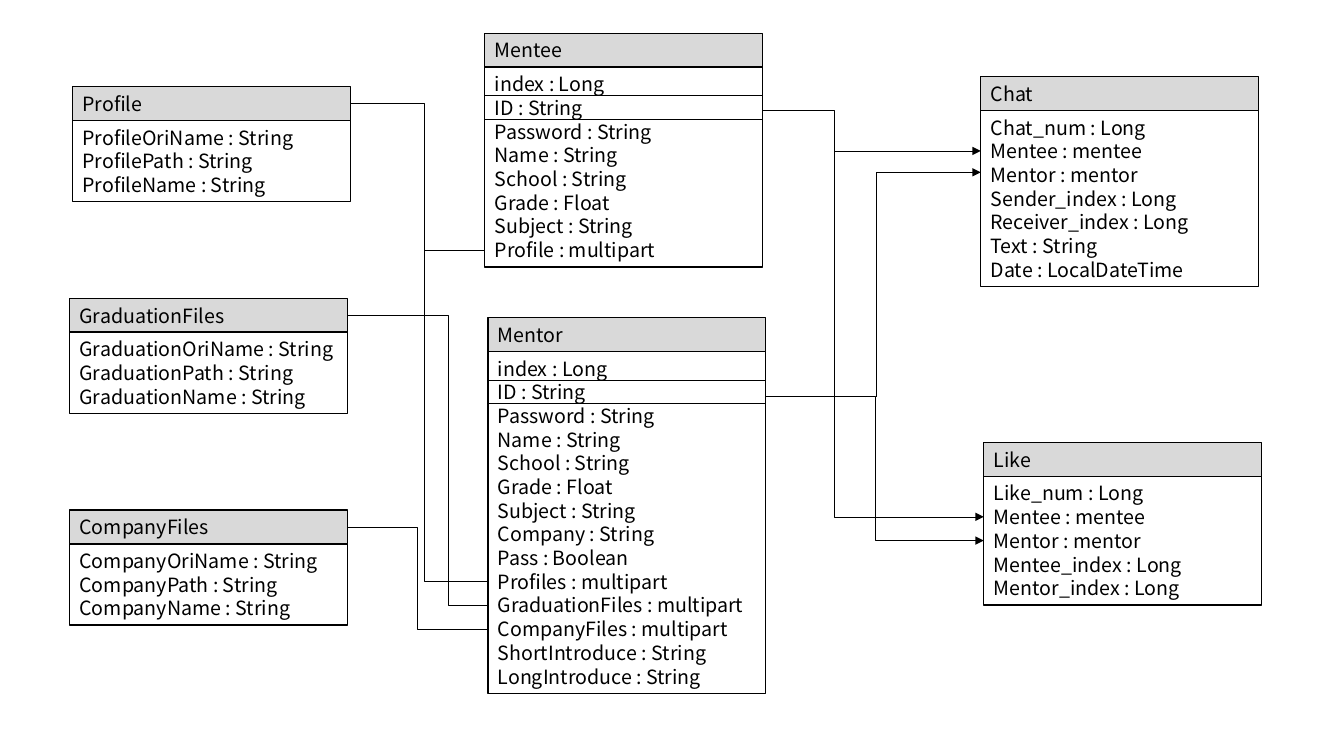
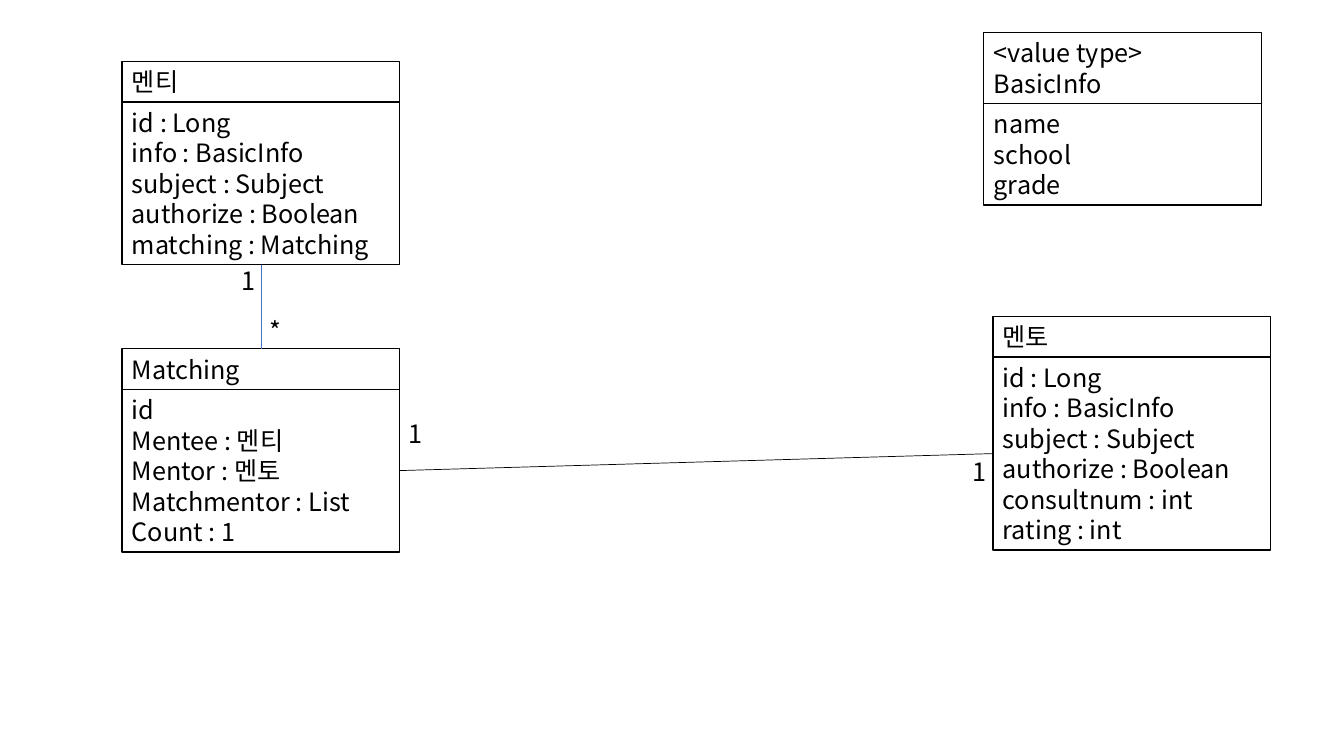
from dataclasses import dataclass

from lxml import etree
from pptx import Presentation
from pptx.dml.color import RGBColor
from pptx.enum.shapes import MSO_CONNECTOR, MSO_SHAPE
from pptx.enum.text import MSO_ANCHOR, PP_ALIGN
from pptx.oxml.ns import qn
from pptx.util import Inches, Pt

RECT = MSO_SHAPE.RECTANGLE
STRAIGHT, ELBOW = MSO_CONNECTOR.STRAIGHT, MSO_CONNECTOR.ELBOW
LEFT, TOP = PP_ALIGN.LEFT, MSO_ANCHOR.TOP

W, H = Inches(13.333), Inches(7.5)
COL, ROW = W / 40, H / 30
FONT = "Noto Sans CJK KR"
BLACK, WHITE, GREY, BLUE = "000000", "FFFFFF", "D9D9D9", "4472C4"
LEADING = 1.21
PAD_X, PAD_Y = Inches(0.1), Inches(0.05)
BOX_W = 8.27 * COL


@dataclass
class ClassBox:
    col: float
    row: float
    title: str
    fields: str
    size: int = 14
    fill: str = GREY

    @property
    def left(self):
        return self.col * COL

    @property
    def right(self):
        return self.left + BOX_W

    @property
    def center(self):
        return self.left + BOX_W / 2

    @property
    def top(self):
        return self.row * ROW

    @property
    def pitch(self):
        return Pt(self.size * LEADING)

    def height(self, text):
        return 2 * PAD_Y + len(text.split("\n")) * self.pitch

    @property
    def body_top(self):
        return self.top + self.height(self.title)

    @property
    def bottom(self):
        return self.body_top + self.height(self.fields)

    @property
    def title_y(self):
        return (self.top + self.body_top) / 2

    @property
    def body_y(self):
        return (self.body_top + self.bottom) / 2

    def line_y(self, number):
        return self.body_top + PAD_Y + number * self.pitch

    def field_y(self, number):
        return self.line_y(number - 0.5)


def color(value):
    return RGBColor.from_string(value)


def write(sp, text, size):
    tf = sp.text_frame
    tf.text = text
    tf.word_wrap = True
    tf.vertical_anchor = TOP
    tf.margin_left = tf.margin_right = PAD_X
    tf.margin_top = tf.margin_bottom = PAD_Y
    for p in tf.paragraphs:
        p.alignment = LEFT
        p.line_spacing = Pt(size * LEADING)
        for r in p.runs:
            r.font.size = Pt(size)
            r.font.name = FONT
            r.font.color.rgb = color(BLACK)
            etree.SubElement(r.font._element, qn("a:ea"), typeface=FONT)


def add_panel(s, box, top, text, fill):
    sp = s.shapes.add_shape(RECT, int(box.left), int(top), int(BOX_W), int(box.height(text)))
    sp.shadow.inherit = False
    sp.fill.solid()
    sp.fill.fore_color.rgb = color(fill)
    sp.line.color.rgb = color(BLACK)
    sp.line.width = Pt(1)
    write(sp, text, box.size)


def add_class(s, box):
    add_panel(s, box, box.body_top, box.fields, WHITE)
    add_panel(s, box, box.top, box.title, box.fill)


def add_line(s, start, end, kind=STRAIGHT, line=BLACK):
    cx = s.shapes.add_connector(kind, *(int(v) for v in (*start, *end)))
    cx.line.color.rgb = color(line)
    cx.line.width = Pt(0.5)
    etree.SubElement(cx._element.spPr, qn("a:effectLst"))
    return cx


def add_wire(s, start, end, lane, arrow=False):
    cx = add_line(s, start, end, ELBOW)
    bend = round((lane - start[0]) / (end[0] - start[0]) * 100000)
    guides = cx._element.spPr.find(qn("a:prstGeom")).get_or_add_avLst()
    etree.SubElement(guides, qn("a:gd"), name="adj1", fmla=f"val {bend}")
    if arrow:
        etree.SubElement(cx.line._get_or_add_ln(), qn("a:tailEnd"), type="triangle")


def add_label(s, col, row, text):
    sp = s.shapes.add_textbox(int(col * COL), int(row * ROW), int(1.2 * COL), int(1.6 * ROW))
    write(sp, text, 18)


def build_entities(s):
    profile, graduation, company = [
        ClassBox(col, 3.44 + 8.4 * i, title,
                 "\n".join(f"{stem}{part} : String" for part in ("OriName", "Path", "Name")))
        for i, (col, title, stem) in enumerate([
            (2.16, "Profile", "Profile"),
            (2.07, "GraduationFiles", "Graduation"),
            (2.07, "CompanyFiles", "Company"),
        ])
    ]
    person = ("index : Long\nID : String\nPassword : String\nName : String\n"
              "School : String\nGrade : Float\nSubject : String\n")
    mentee = ClassBox(14.43, 1.32, "Mentee", person + "Profile : multipart")
    mentor = ClassBox(14.52, 12.6, "Mentor", person + (
        "Company : String\nPass : Boolean\nProfiles : multipart\n"
        "GraduationFiles : multipart\nCompanyFiles : multipart\n"
        "ShortIntroduce : String\nLongIntroduce : String"))
    chat = ClassBox(29.19, 3.04, "Chat", (
        "Chat_num : Long\nMentee : mentee\nMentor : mentor\nSender_index : Long\n"
        "Receiver_index : Long\nText : String\nDate : LocalDateTime"))
    like = ClassBox(29.28, 17.56, "Like", (
        "Like_num : Long\nMentee : mentee\nMentor : mentor\n"
        "Mentee_index : Long\nMentor_index : Long"))

    for box in (profile, graduation, company, mentee, mentor, chat, like):
        add_class(s, box)
    for box in (mentee, mentor):
        for number in (1, 2):
            y = box.line_y(number)
            add_line(s, (box.left, y), (box.right, y))

    profile_lane = 12.62 * COL
    for source, target, field, lane in (
        (profile, mentee, 8, profile_lane),
        (graduation, mentor, 11, 13.34 * COL),
        (company, mentor, 12, 12.43 * COL),
    ):
        add_wire(s, (source.right, source.title_y), (target.left, target.field_y(field)), lane)
    add_wire(s, (profile_lane, mentee.field_y(8)), (mentor.left, mentor.field_y(10)), profile_lane)

    mentee_lane, mentor_lane = 24.83 * COL, 26.07 * COL
    mentee_id = (mentee.right, mentee.field_y(2.1))
    mentor_id = (mentor.right, mentor.field_y(2.2))
    for start, target, field, lane in (
        (mentee_id, chat, 2, mentee_lane),
        ((mentee_lane, chat.field_y(2)), like, 2, mentee_lane),
        (mentor_id, like, 3, mentor_lane),
        ((mentor_lane, mentor_id[1]), chat, 2.9, mentor_lane),
    ):
        add_wire(s, start, (target.left, target.field_y(field)), lane, arrow=True)


def build_domain(s):
    member = "id : Long\ninfo : BasicInfo\nsubject : Subject\nauthorize : Boolean\n"
    mentee, mentor, matching, info = [
        ClassBox(col, row, title, fields, 18, WHITE) for col, row, title, fields in (
            (3.63, 2.44, "멘티", member + "matching : Matching"),
            (29.55, 12.56, "멘토", member + "consultnum : int\nrating : int"),
            (3.63, 13.84, "Matching",
             "id\nMentee : 멘티\nMentor : 멘토\nMatchmentor : List\nCount : 1"),
            (29.28, 1.28, "<value type>\nBasicInfo", "name\nschool\ngrade"),
        )
    ]
    for box in (mentee, mentor, matching, info):
        add_class(s, box)
    add_line(s, (mentee.center, mentee.bottom), (matching.center, matching.top), line=BLUE)
    add_line(s, (matching.right, matching.body_y), (mentor.left, mentor.body_y))
    for label in ((28.65, 17.92, "1"), (6.9, 10.32, "1"), (7.74, 12.32, "*"), (11.85, 16.4, "1")):
        add_label(s, *label)


def main():
    prs = Presentation()
    prs.slide_width, prs.slide_height = W, H
    for build in (build_entities, build_domain):
        build(prs.slides.add_slide(prs.slide_layouts[6]))
    prs.save("out.pptx")


if __name__ == "__main__":
    main()
